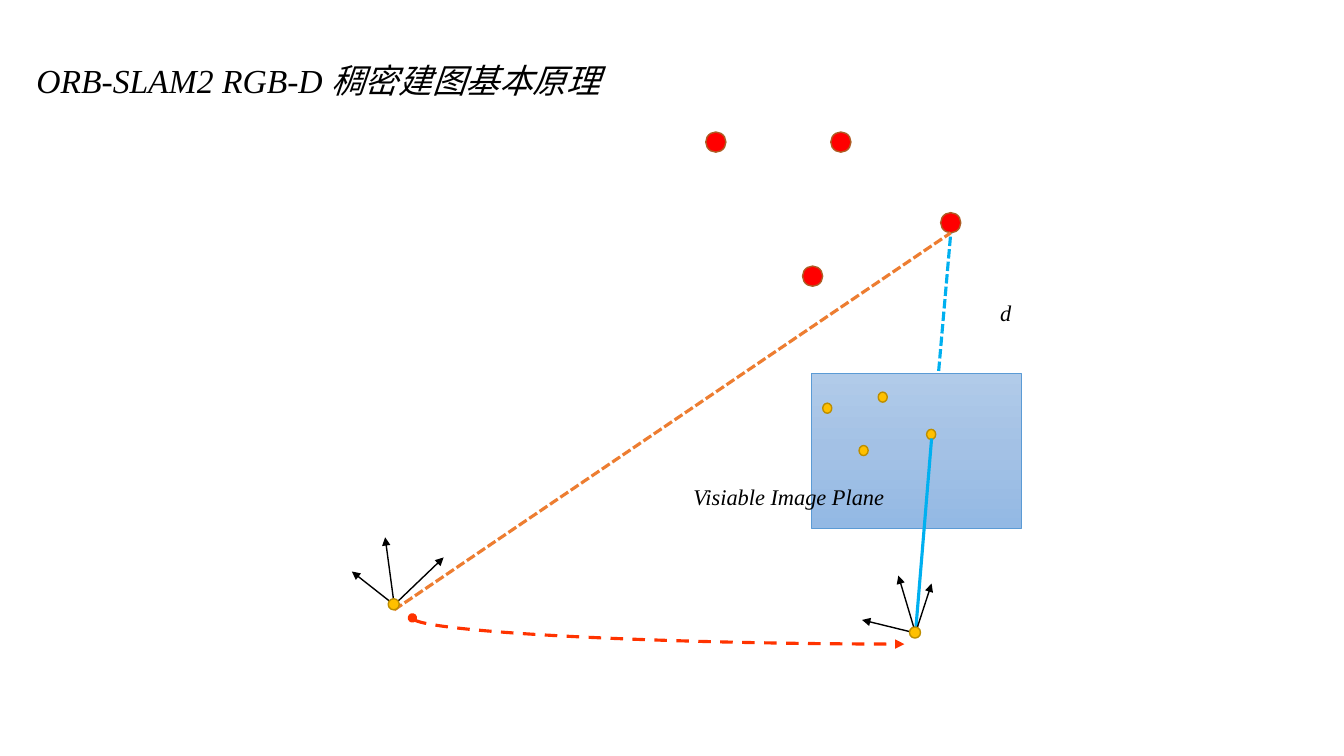
from copy import deepcopy

from lxml import etree
from pptx import Presentation
from pptx.dml.color import RGBColor
from pptx.enum.dml import MSO_LINE
from pptx.enum.shapes import MSO_CONNECTOR as CONN, MSO_SHAPE as SHAPE
from pptx.enum.text import MSO_ANCHOR, MSO_AUTO_SIZE, PP_ALIGN
from pptx.oxml.ns import qn
from pptx.util import Inches, Pt

COLORS = {
    "text": "000000", "point": "FF0000", "point_edge": "AF5C24",
    "pixel": "FFC000", "pixel_edge": "BD8E00", "depth": "00B0F0",
    "epipolar": "ED7D31", "motion": "FF3300", "plane_edge": "5B9BD5",
    "plane_top": "B1CBE9", "plane_mid": "A3C1E5", "plane_bottom": "93B9E4",
}


def rgb(name):
    return RGBColor.from_string(COLORS[name])


class Diagram:
    font = "Times New Roman"

    def __init__(self, slide):
        self.slide = slide

    def outline(self, line, color, width, dash=None):
        line.color.rgb = rgb(color)
        for name, value in {"width": Pt(width), "dash_style": dash}.items():
            setattr(line, name, value)

    def shape(self, kind, x, y, w, h, edge, width):
        s = self.slide.shapes.add_shape(kind, *map(Inches, (x, y, w, h)))
        s.shadow.inherit = False
        self.outline(s.line, edge, width)
        return s

    def dot(self, x, y, w, h, color):
        s = self.shape(SHAPE.OVAL, x, y, w, h, color + "_edge", 1)
        s.fill.solid()
        s.fill.fore_color.rgb = rgb(color)

    def plane(self, x, y, w, h):
        s = self.shape(SHAPE.RECTANGLE, x, y, w, h, "plane_edge", 0.5)
        s.fill.gradient()
        s.fill.gradient_angle = 270
        first = next(s._element.spPr.iter(qn("a:gs")))
        first.addnext(deepcopy(first))
        colors = ("plane_top", "plane_mid", "plane_bottom")
        for i, (stop, color) in enumerate(zip(s.fill.gradient_stops, colors)):
            stop.position = i / 2
            stop.color.rgb = rgb(color)

    def line(self, start, end, color, width, dash=None, head=None, tail=None, kind=CONN.STRAIGHT):
        s = self.slide.shapes.add_connector(kind, *map(Inches, (*start, *end)))
        self.outline(s.line, color, width, dash)
        sp_pr = s._element.spPr
        ln = sp_pr.find(qn("a:ln"))
        for tag, arrow in (("a:headEnd", head), ("a:tailEnd", tail)):
            if arrow:
                etree.SubElement(ln, qn(tag), type=arrow)
        etree.SubElement(sp_pr, qn("a:effectLst"))
        return s

    def quarter_curve(self, start, end, *args, **kwargs):
        s = self.line(start, end, *args, kind=CONN.CURVE, **kwargs)
        sp_pr = s._element.spPr
        sp_pr.find(qn("a:xfrm")).set("rot", "5400000")
        sp_pr.find(qn("a:prstGeom")).set("prst", "curvedConnector2")

    def fill_text(self, s, text, x, y, w, h, size):
        box = {"left": x, "top": y, "width": w, "height": h}
        for name, value in box.items():
            setattr(s, name, Inches(value))
        tf = s.text_frame
        frame = {"word_wrap": True, "vertical_anchor": MSO_ANCHOR.TOP,
                 "auto_size": MSO_AUTO_SIZE.SHAPE_TO_FIT_TEXT}
        for name, value in frame.items():
            setattr(tf, name, value)
        p = tf.paragraphs[0]
        p.alignment = PP_ALIGN.LEFT
        r = p.add_run()
        r.text = text
        for name, value in {"name": self.font, "size": Pt(size), "italic": True}.items():
            setattr(r.font, name, value)
        r.font.color.rgb = rgb("text")

    def title(self, text, *box):
        self.fill_text(self.slide.shapes.title, text, *box, 24)

    def label(self, text, *box):
        s = self.slide.shapes.add_textbox(*map(Inches, box))
        self.fill_text(s, text, *box, 16)


def main():
    prs = Presentation()
    prs.slide_width, prs.slide_height = Inches(13.33), Inches(7.5)
    d = Diagram(prs.slides.add_slide(prs.slide_layouts[5]))

    d.title("ORB-SLAM2 RGB-D 稠密建图基本原理", 0.26, 0.54, 5.9, 0.5)
    d.plane(8.05, 3.7, 2.08, 1.54)

    d.line((9.31, 3.68), (9.43, 2.31), "depth", 2.25, MSO_LINE.SQUARE_DOT)
    for x, y in ((8.24, 1.31), (7, 1.31), (7.96, 2.64), (9.33, 2.11)):
        d.dot(x, y, 0.2, 0.2, "point")
    for x, y in ((9.19, 4.26), (8.52, 4.42), (8.71, 3.89), (8.16, 4)):
        d.dot(x, y, 0.09, 0.1, "pixel")

    d.quarter_curve((6.4, 8.7), (6.66, 3.82), "motion", 2.25, MSO_LINE.DASH,
                    head="oval", tail="triangle")
    d.line((3.91, 6.05), (9.43, 2.31), "epipolar", 2.25, MSO_LINE.SQUARE_DOT)
    d.line((9.08, 6.28), (9.24, 4.35), "depth", 2.25)

    cameras = {
        (3.91, 6): ((3.82, 5.33), (4.4, 5.53), (3.49, 5.67)),
        (9.08, 6.28): ((9.24, 5.79), (8.91, 5.71), (8.55, 6.15)),
    }
    for center, tips in cameras.items():
        for tip in tips:
            d.line(center, tip, "text", 1, tail="triangle")
        d.dot(center[0] - 0.06, center[1] - 0.06, 0.11, 0.11, "pixel")

    d.label("Visiable Image Plane", 6.78, 4.74, 2.13, 0.37)
    d.label("d", 9.82, 2.92, 0.35, 0.37)

    prs.save("out.pptx")


if __name__ == "__main__":
    main()
